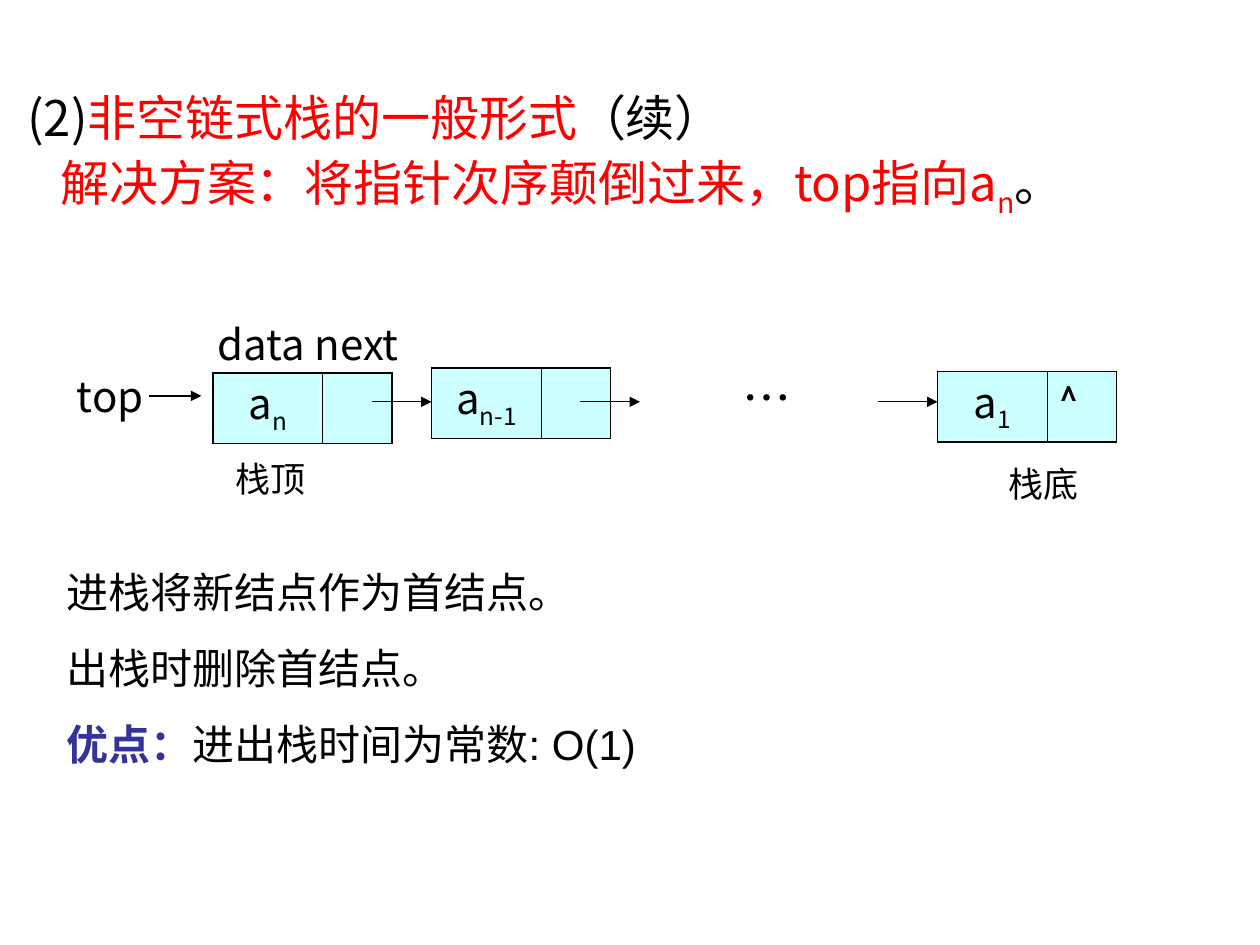
from dataclasses import dataclass

from lxml import etree
from pptx import Presentation
from pptx.dml.color import RGBColor
from pptx.enum.shapes import MSO_CONNECTOR
from pptx.enum.text import MSO_ANCHOR, MSO_AUTO_SIZE, PP_ALIGN
from pptx.oxml.ns import qn
from pptx.util import Cm, Pt

STRAIGHT = MSO_CONNECTOR.STRAIGHT
TOP = MSO_ANCHOR.TOP
NO_FIT = MSO_AUTO_SIZE.NONE
LEFT, CENTER = PP_ALIGN.LEFT, PP_ALIGN.CENTER
CJK = "Noto Sans CJK SC"
COLORS = {"black": "000000", "red": "FF0000", "navy": "333399", "cell": "CCFFFF"}
CELL_WIDTHS = (2.21, 1.4)
CELL_HEIGHT = 1.42
OUTER, INNER = 1.08, 0.45
ARROW_Y = 8.1


@dataclass
class Span:
    text: str
    color: str = "black"
    bold: bool = False
    subscript: bool = False


@dataclass
class Node:
    left: float
    top: float
    index: str
    link: str = ""


@dataclass
class Label:
    text: str
    left: float
    top: float
    width: float
    height: float
    size: float
    wrap: bool = True


@dataclass
class Arrow:
    start: float
    end: float
    y: float = ARROW_Y


HEADING = [
    [Span("(2)"), Span("非空链式栈的一般形式", "red"), Span("（续）")],
    [Span("解决方案：将指针次序颠倒过来，top指向a", "red"),
     Span("n", "red", subscript=True), Span("。")],
]
NOTES = [
    [Span("进栈将新结点作为首结点。")],
    [Span("出栈时删除首结点。")],
    [Span("优点：", "navy", bold=True), Span("进出栈时间为常数: O(1)")],
]
NODES = [
    Node(4.29, 7.52, "n"),
    Node(8.7, 7.42, "n-1"),
    Node(18.9, 7.49, "1", "^"),
]
LABELS = [
    Label("data next", 4.14, 6.3, 4.24, 1.27, 24, wrap=False),
    Label("top", 1.3, 7.34, 1.9, 1.27, 24),
    Label("栈底", 20.09, 9.19, 1.9, 1.12, 20, wrap=False),
    Label("栈顶", 4.5, 9.09, 1.9, 1.12, 20, wrap=False),
    Label("…", 14.71, 7.29, 2.39, 1.45, 28),
]
ARROWS = [Arrow(3, 4.06, 7.98), Arrow(7.5, 8.7), Arrow(11.7, 12.9), Arrow(17.7, 18.9)]


def write(para, spans: list[Span], *, size: float, font: str = CJK, align=LEFT,
          before: float = 0, line: float = 0, indent: float = 0) -> None:
    para.alignment = align
    para.space_before = Pt(before)
    if line:
        para.line_spacing = Pt(line)
    properties = para._p.get_or_add_pPr()
    properties.set("marL", str(Cm(indent)))
    properties.set("indent", "0")
    etree.SubElement(properties, qn("a:buNone"))
    for item in spans:
        span = para.add_run()
        span.text = item.text
        span.font.size = Pt(size)
        span.font.name = font
        span.font.bold = item.bold
        span.font.color.rgb = RGBColor.from_string(COLORS[item.color])
        if item.subscript:
            span.font._element.set("baseline", "-25000")


def place(box, left: float, top: float, width: float, height: float) -> None:
    box.left, box.top, box.width, box.height = Cm(left), Cm(top), Cm(width), Cm(height)
    box.text_frame.word_wrap = True
    box.text_frame.auto_size = NO_FIT
    box.text_frame.vertical_anchor = TOP


def next_para(frame, position: int):
    return frame.add_paragraph() if position else frame.paragraphs[0]


def draw_border(cell, widths: dict[str, float]) -> None:
    properties = cell._tc.get_or_add_tcPr()
    for position, (side, width) in enumerate(widths.items()):
        line = etree.Element(qn(f"a:{side}"), w=str(Pt(width)))
        fill = etree.SubElement(line, qn("a:solidFill"))
        etree.SubElement(fill, qn("a:srgbClr"), val=COLORS["black"])
        properties.insert(position, line)


def draw_node(page, node: Node) -> None:
    frame = page.shapes.add_table(1, 2, Cm(node.left), Cm(node.top),
                                  Cm(sum(CELL_WIDTHS)), Cm(CELL_HEIGHT))
    table = frame.table
    table.first_row = table.horz_banding = False
    for column, width in enumerate(CELL_WIDTHS):
        table.columns[column].width = Cm(width)
        cell = table.cell(0, column)
        cell.fill.solid()
        cell.fill.fore_color.rgb = RGBColor.from_string(COLORS["cell"])
        draw_border(cell, {"lnL": INNER if column else OUTER,
                           "lnR": OUTER if column else INNER,
                           "lnT": OUTER, "lnB": OUTER})
    data, link = (table.cell(0, column).text_frame.paragraphs[0] for column in (0, 1))
    write(data, [Span("a"), Span(node.index, subscript=True)],
          size=24, align=CENTER, line=33)
    if node.link:
        write(link, [Span(node.link)], size=24, font="Roboto")


def draw_label(page, label: Label) -> None:
    box = page.shapes.add_textbox(0, 0, 0, 0)
    place(box, label.left, label.top, label.width, label.height)
    box.text_frame.word_wrap = label.wrap
    write(box.text_frame.paragraphs[0], [Span(label.text)], size=label.size)


def draw_arrow(page, arrow: Arrow) -> None:
    line = page.shapes.add_connector(STRAIGHT, Cm(arrow.start), Cm(arrow.y),
                                     Cm(arrow.end), Cm(arrow.y))
    line.line.width = Pt(0.75)
    line.line.color.rgb = RGBColor.from_string(COLORS["black"])
    etree.SubElement(line.line._get_or_add_ln(), qn("a:tailEnd"), type="triangle")
    etree.SubElement(line._element.spPr, qn("a:effectLst"))


def main() -> None:
    deck = Presentation()
    deck.slide_width, deck.slide_height = Cm(25.4), Cm(19.05)
    page = deck.slides.add_slide(deck.slide_layouts[1])
    title, body = page.placeholders
    place(title, 0.3, 1.6, 24.56, 3.3)
    for position, spans in enumerate(HEADING):
        write(next_para(title.text_frame, position), spans, size=28,
              before=7 * position, line=34.7, indent=0.66 * position)
    place(body, 1.09, 11.3, 23.01, 5.92)
    for position, spans in enumerate(NOTES):
        write(next_para(body.text_frame, position), spans, size=24, font="Arial",
              before=15 if position else 0, line=28.4)
    for node in NODES:
        draw_node(page, node)
    for label in LABELS:
        draw_label(page, label)
    for arrow in ARROWS:
        draw_arrow(page, arrow)
    deck.save("out.pptx")


if __name__ == "__main__":
    main()
